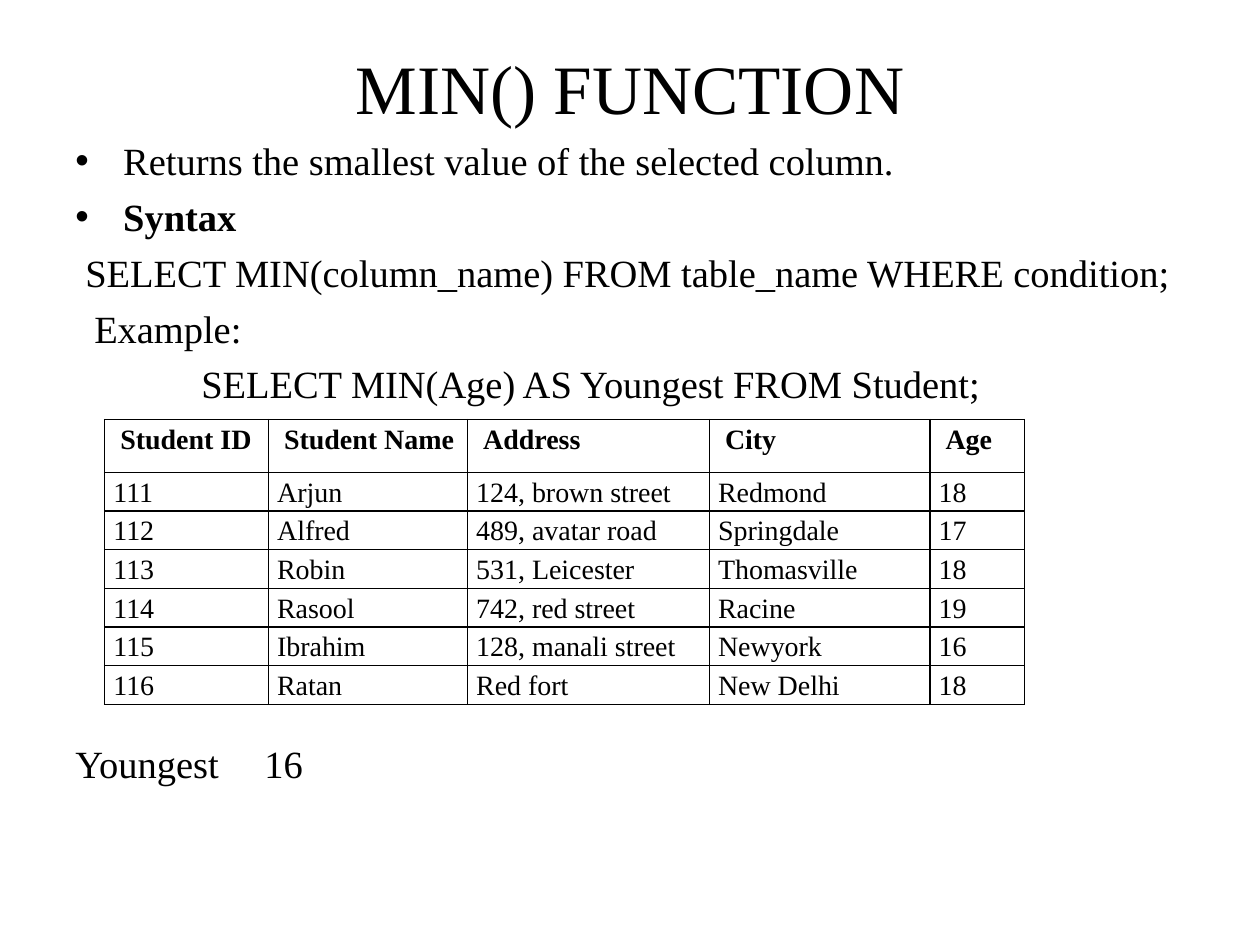
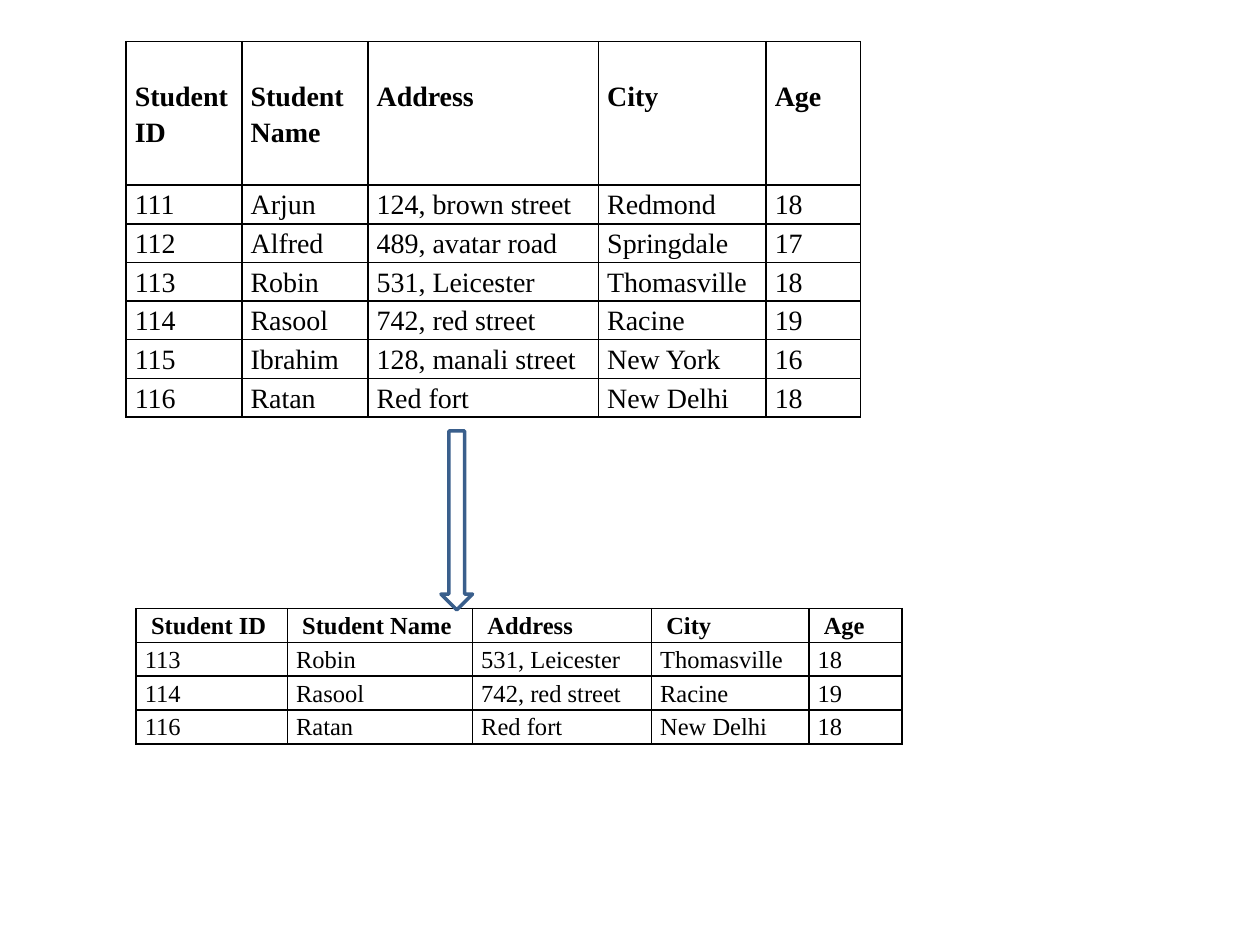
import pptx
import pptx.util
import pptx.dml.color
import pptx.enum.shapes
import pptx.enum.text
import pptx.oxml
import pptx.oxml.ns
from lxml import etree

Inches, Pt = pptx.util.Inches, pptx.util.Pt
qn = pptx.oxml.ns.qn

# Shared look
FONT = "Times New Roman"
BLACK = "000000"
ARROW_BLUE = "3A5F8C"
BODY_SIZE = 22
BODY_GAP = 5.5
BODY_PITCH = 30.8
CELL_PAD = 0.07

# Shared data
HEADERS = ["Student ID", "Student Name", "Address", "City", "Age"]
STUDENTS = [
    ["111", "Arjun", "124, brown street", "Redmond", "18"],
    ["112", "Alfred", "489, avatar road", "Springdale", "17"],
    ["113", "Robin", "531, Leicester", "Thomasville", "18"],
    ["114", "Rasool", "742, red street", "Racine", "19"],
    ["115", "Ibrahim", "128, manali street", "New York", "16"],
    ["116", "Ratan", "Red fort", "New Delhi", "18"],
]
SELECTED_IDS = {"113", "114", "116"}


def rgb(hex_color):
    return pptx.dml.color.RGBColor.from_string(hex_color)


def write(p, text, size=BODY_SIZE, bold=False, color=BLACK, align=None,
          before=None, spacing=None):
    """Add formatted text to a paragraph."""
    if align is not None:
        p.alignment = align
    if before is not None:
        p.space_before = Pt(before)
    if spacing is not None:
        p.line_spacing = spacing
    r = p.add_run()
    r.text = text
    r.font.name = FONT
    r.font.size = Pt(size)
    r.font.bold = bold
    r.font.color.rgb = rgb(color)


def indent(p, left=0, first=0, bullet=None, tab=None):
    """Set a paragraph's indents, bullet and tab stop."""
    pPr = p._p.get_or_add_pPr()
    pPr.set("marL", str(Inches(left)))
    pPr.set("indent", str(Inches(first)))
    if bullet:
        etree.SubElement(pPr, qn("a:buFont"), typeface="Arial")
        etree.SubElement(pPr, qn("a:buChar"), char=bullet)
    if tab:
        tabs = etree.SubElement(pPr, qn("a:tabLst"))
        etree.SubElement(tabs, qn("a:tab"), pos=str(Inches(tab)), algn="l")


def set_borders(cell, color=BLACK, width=1):
    tcPr = cell._tc.get_or_add_tcPr()
    for side in ("a:lnL", "a:lnR", "a:lnT", "a:lnB"):
        ln = etree.SubElement(tcPr, qn(side), w=str(Pt(width)))
        fill = etree.SubElement(ln, qn("a:solidFill"))
        etree.SubElement(fill, qn("a:srgbClr"), val=color)


def add_title(s, text, left, top, width, height):
    title = s.shapes.title
    title.left, title.top = Inches(left), Inches(top)
    title.width, title.height = Inches(width), Inches(height)
    tf = title.text_frame
    tf.auto_size = pptx.enum.text.MSO_AUTO_SIZE.NONE
    tf.vertical_anchor = pptx.enum.text.MSO_ANCHOR.MIDDLE
    write(tf.paragraphs[0], text, size=39.6, align=pptx.enum.text.PP_ALIGN.CENTER)


def add_body(s, lines, left, top, width, height):
    """Lines are (text, indent settings, text settings)."""
    box = s.shapes.add_textbox(Inches(left), Inches(top), Inches(width), Inches(height))
    tf = box.text_frame
    tf.word_wrap = True
    for i, (text, layout, style) in enumerate(lines):
        p = tf.add_paragraph() if i else tf.paragraphs[0]
        indent(p, **layout)
        write(p, text, **{"before": BODY_GAP if i else 0, **style})


def add_student_table(s, students, left, top, widths, row_height, header_height,
                      size=16, header_left=None, header_top=0):
    """Draw a ruled table with a bold header; header_left and header_top pad it."""
    if header_left is None:
        header_left = CELL_PAD + size / 4 / 72
    rows = [HEADERS] + students
    heights = [header_height] + [row_height] * len(students)
    frame = s.shapes.add_table(len(rows), len(widths), Inches(left), Inches(top),
                               Inches(sum(widths)), Inches(sum(heights)))
    table = frame.table
    table.first_row = table.horz_banding = False
    for column, width in zip(table.columns, widths):
        column.width = Inches(width)
    for i, (values, height) in enumerate(zip(rows, heights)):
        table.rows[i].height = Inches(height)
        is_header = i == 0
        for j, value in enumerate(values):
            cell = table.cell(i, j)
            cell.margin_left = Inches(header_left if is_header else CELL_PAD)
            cell.margin_right = Inches(CELL_PAD)
            cell.margin_top = Inches(header_top if is_header else 0)
            cell.margin_bottom = 0
            set_borders(cell)
            cell.fill.background()
            write(cell.text_frame.paragraphs[0], value, size=size,
                  bold=is_header, spacing=1.15)


def add_down_arrow(s, left, top, width, height):
    arrow = s.shapes.add_shape(pptx.enum.shapes.MSO_SHAPE.DOWN_ARROW, Inches(left),
                               Inches(top), Inches(width), Inches(height))
    arrow.shadow.inherit = False
    arrow.fill.background()
    arrow.line.color.rgb = rgb(ARROW_BLUE)
    arrow.line.width = Pt(2)


def build_min_slide(prs):
    s = prs.slides.add_slide(prs.slide_layouts[5])
    add_title(s, "MIN() FUNCTION", 0.5, 0.3, 9, 0.78)
    bullet = {"left": 0.38, "first": -0.38, "bullet": "•"}
    # The result line stands seven lines below the query, under the table
    result_gap = 7 * BODY_PITCH - (BODY_PITCH - BODY_GAP)
    add_body(s, [
        ("Returns the smallest value of the selected column.", bullet, {}),
        ("Syntax", bullet, {"bold": True}),
        ("SELECT MIN(column_name) FROM table_name WHERE condition;", {"left": 0.08}, {}),
        ("Example:", {"left": 0.15}, {}),
        ("SELECT MIN(Age) AS Youngest FROM Student;", {"left": 1}, {}),
        ("Youngest\t16", {"tab": 1.52}, {"before": result_gap}),
    ], 0.5, 1.04, 9.3, 6.33)
    students = [[value.replace("New York", "Newyork") for value in row]
                for row in STUDENTS]
    add_student_table(s, students, 0.83, 3.33, [1.3, 1.58, 1.92, 1.75, 0.75],
                      row_height=0.28, header_height=0.42)


def build_selection_slide(prs):
    s = prs.slides.add_slide(prs.slide_layouts[6])
    # All students
    add_student_table(s, STUDENTS, 1, 0.33, [0.92, 1, 1.83, 1.33, 0.75],
                      row_height=0.28, header_height=1.14,
                      header_left=CELL_PAD, header_top=0.28)
    # Selected students
    selected = [row for row in STUDENTS if row[0] in SELECTED_IDS]
    add_student_table(s, selected, 1.08, 4.83, [1.2, 1.47, 1.42, 1.25, 0.74],
                      row_height=0.24, header_height=0.24, size=14)
    add_down_arrow(s, 3.5, 3.42, 0.25, 1.42)


def main():
    prs = pptx.Presentation()
    prs.slide_width, prs.slide_height = Inches(10), Inches(7.5)
    build_min_slide(prs)
    build_selection_slide(prs)
    prs.save("out.pptx")


if __name__ == "__main__":
    main()
